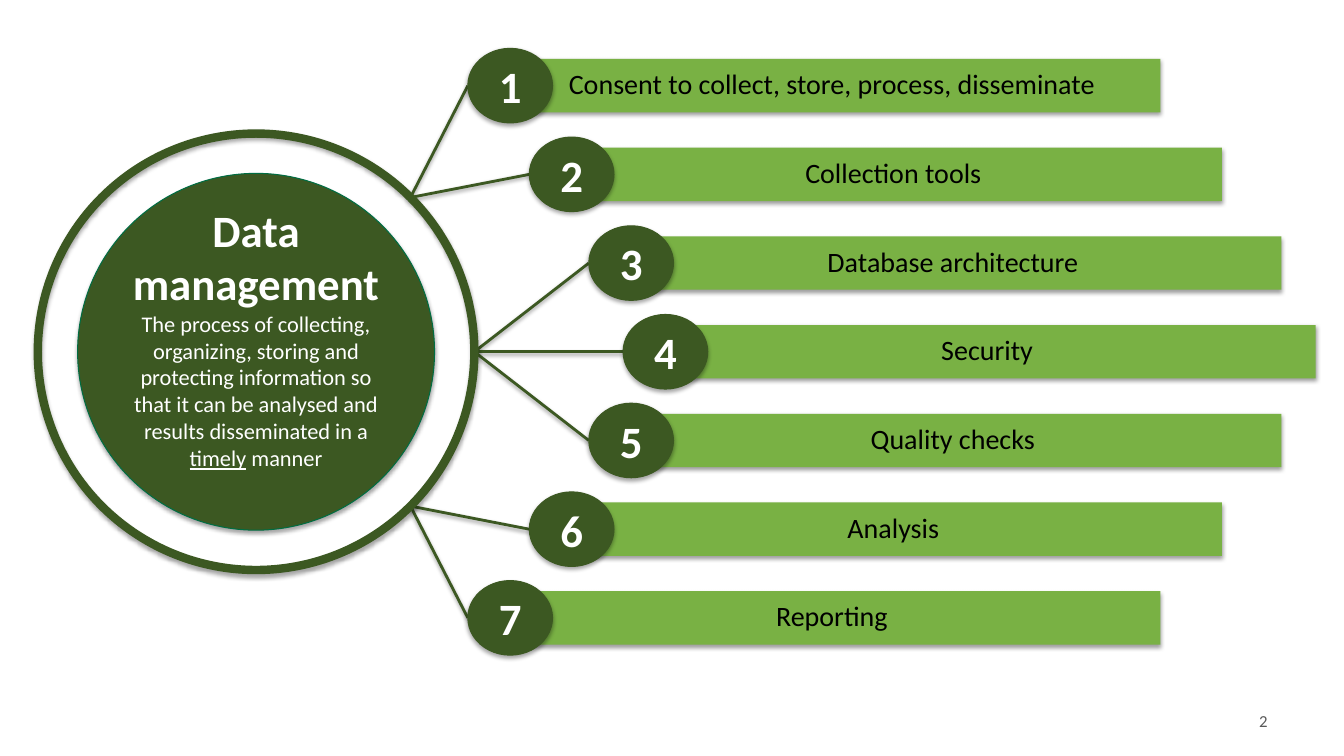
from math import cos, radians, sin

from pptx import Presentation
from pptx.dml.color import RGBColor
from pptx.enum.shapes import MSO_CONNECTOR, MSO_SHAPE
from pptx.enum.text import MSO_ANCHOR, PP_ALIGN
from pptx.oxml import parse_xml
from pptx.oxml.ns import nsdecls
from pptx.util import Inches, Pt

DARK, LIGHT = "3C5822", "79B144"


def paint(shape, fill=None, line=None, width=0.75, opacity=35, distance=1.8):
    """Set fill, outline and the soft shadow below the shape."""
    if fill:
        shape.fill.solid()
        shape.fill.fore_color.rgb = RGBColor.from_string(fill)
    if line:
        shape.line.color.rgb = RGBColor.from_string(line)
        shape.line.width = Pt(width)
    else:
        shape.line.fill.background()
    shape._element.spPr.append(parse_xml(
        f'<a:effectLst {nsdecls("a")}><a:outerShdw blurRad="{Pt(3.1)}" dist="{Pt(distance)}" '
        f'dir="5400000" rotWithShape="0"><a:srgbClr val="000000">'
        f'<a:alpha val="{opacity * 1000}"/></a:srgbClr></a:outerShdw></a:effectLst>'))


def write(paragraph, text, size=32, color="FFFFFF", bold=False, underline=False,
          align=PP_ALIGN.CENTER, spacing=1.0):
    paragraph.alignment = align
    paragraph.line_spacing = spacing
    run = paragraph.add_run()
    run.text = text
    run.font.name = "Calibri"
    run.font.size = Pt(size)
    run.font.bold = bold
    run.font.underline = underline
    run.font.color.rgb = RGBColor.from_string(color)


prs = Presentation()
prs.slide_width, prs.slide_height = Inches(13.33), Inches(7.5)
slide = prs.slides.add_slide(prs.slide_layouts[6])
shapes = slide.shapes

# Topic, left edge of its badge, angle on the ring where its spoke starts
topics = [
    ("Consent to collect, store, process, disseminate", 4.64, -45),
    ("Collection tools", 5.25, -45),
    ("Database architecture", 5.84, 0),
    ("Security", 6.18, 0),
    ("Quality checks", 5.84, 0),
    ("Analysis", 5.25, 45),
    ("Reporting", 4.64, 45),
]
first_row, row_pitch = 0.85, 0.88
bar_width, bar_height = 6.52, 0.53
badge_width, badge_height = 0.84, 0.74
center_x, center_y, ring_radius, core_radius = 2.54, 3.49, 2.165, 1.77

# Topic bars
for row, (topic, left, angle) in enumerate(topics):
    middle = first_row + row * row_pitch
    bar = shapes.add_shape(MSO_SHAPE.RECTANGLE, Inches(left + 0.35),
                           Inches(middle - bar_height / 2),
                           Inches(bar_width), Inches(bar_height))
    paint(bar, fill=LIGHT, opacity=38, distance=1.6)
    frame = bar.text_frame
    frame.margin_left = frame.margin_right = Inches(0.11)
    frame.margin_top = frame.margin_bottom = Inches(0.11)
    frame.vertical_anchor = MSO_ANCHOR.MIDDLE
    write(frame.paragraphs[0], topic, size=20, color="000000", spacing=0.9)

# Core circle with the definition
core = shapes.add_shape(MSO_SHAPE.OVAL, Inches(center_x - core_radius),
                        Inches(center_y - core_radius),
                        Inches(2 * core_radius), Inches(2 * core_radius))
paint(core, fill=DARK, line="006D43")
frame = core.text_frame
frame.word_wrap = True
frame.margin_left = frame.margin_right = frame.margin_top = 0
frame.margin_bottom = Inches(0.3)
frame.vertical_anchor = MSO_ANCHOR.MIDDLE
write(frame.paragraphs[0], "Data management", bold=True)
definition = frame.add_paragraph()
write(definition, "The process of collecting, organizing, storing and protecting information "
      "so that it can be analysed and results disseminated in a ", size=16)
write(definition, "timely", size=16, underline=True)
write(definition, " manner", size=16)

# Spokes from the ring to the badges
for row, (topic, left, angle) in enumerate(topics):
    spoke = shapes.add_connector(
        MSO_CONNECTOR.STRAIGHT,
        Inches(center_x + ring_radius * cos(radians(angle))),
        Inches(center_y + ring_radius * sin(radians(angle))),
        Inches(left), Inches(first_row + row * row_pitch))
    paint(spoke, line=DARK, width=2, opacity=38, distance=1.6)

# Ring
ring = shapes.add_shape(MSO_SHAPE.OVAL, Inches(center_x - ring_radius),
                        Inches(center_y - ring_radius),
                        Inches(2 * ring_radius), Inches(2 * ring_radius))
ring.fill.background()
paint(ring, line=DARK, width=6)

# Numbered badges
for row, (topic, left, angle) in enumerate(topics):
    middle = first_row + row * row_pitch
    badge = shapes.add_shape(MSO_SHAPE.OVAL, Inches(left), Inches(middle - badge_height / 2),
                             Inches(badge_width), Inches(badge_height))
    paint(badge, fill=DARK, line=DARK)
    badge.text_frame.vertical_anchor = MSO_ANCHOR.MIDDLE
    write(badge.text_frame.paragraphs[0], str(row + 1), bold=True)

# Slide number
page_number = shapes.add_textbox(Inches(9.56), Inches(6.95), Inches(3.11), Inches(0.4))
page_number.text_frame.word_wrap = True
page_number.text_frame.vertical_anchor = MSO_ANCHOR.MIDDLE
write(page_number.text_frame.paragraphs[0], "2", size=12, color="595959", align=PP_ALIGN.RIGHT)

prs.save("out.pptx")
